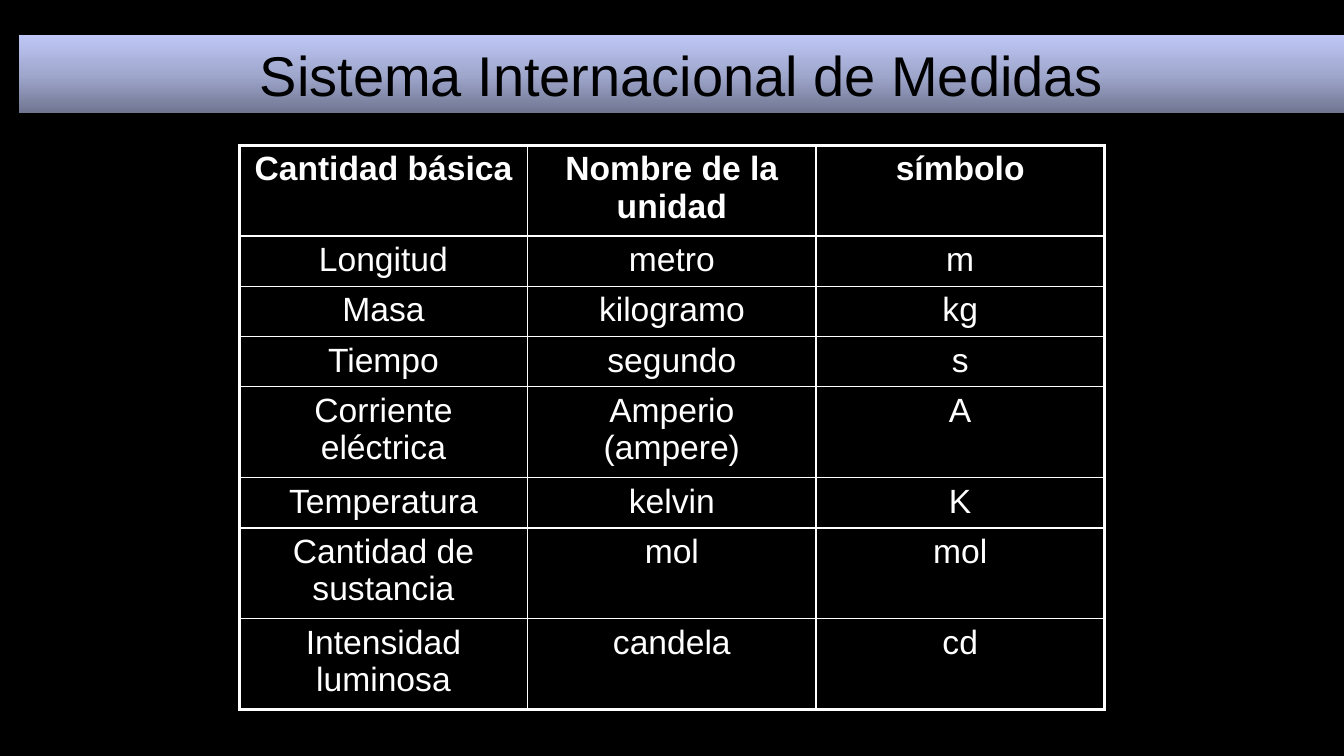
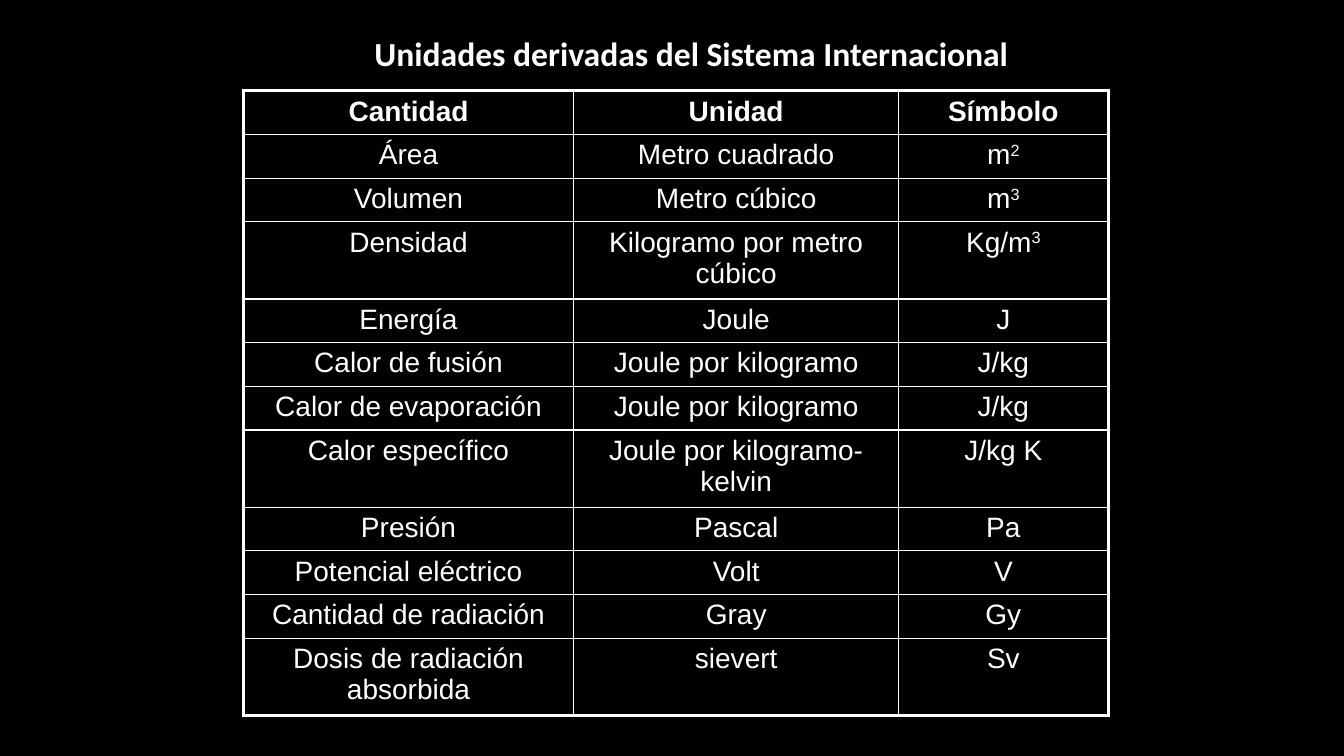
import copy

import lxml.etree
import pptx
import pptx.dml.color
import pptx.enum.shapes
import pptx.enum.text
import pptx.oxml.ns
import pptx.util

BLACK = pptx.dml.color.RGBColor(0x00, 0x00, 0x00)
WHITE = pptx.dml.color.RGBColor(0xFF, 0xFF, 0xFF)
BAND_DARK = pptx.dml.color.RGBColor(0x70, 0x76, 0x91)
BAND_MIDDLE = pptx.dml.color.RGBColor(0xA0, 0xA8, 0xCE)
BAND_LIGHT = pptx.dml.color.RGBColor(0xBE, 0xC7, 0xF5)

SLIDE_WIDTH = pptx.util.Inches(13.33)
SLIDE_HEIGHT = pptx.util.Inches(7.5)
GRID_COLUMNS = 100
GRID_ROWS = 100
BODY_FONT = "Arial"
CAPTION_FONT = "Calibri"
OUTER_LINE = pptx.util.Pt(2.25)
INNER_LINE = pptx.util.Pt(1)

BASE_UNITS = [
    ("Cantidad básica", "Nombre de la unidad", "símbolo"),
    ("Longitud", "metro", "m"),
    ("Masa", "kilogramo", "kg"),
    ("Tiempo", "segundo", "s"),
    ("Corriente eléctrica", "Amperio (ampere)", "A"),
    ("Temperatura", "kelvin", "K"),
    ("Cantidad de sustancia", "mol", "mol"),
    ("Intensidad luminosa", "candela", "cd"),
]

DERIVED_UNITS = [
    ("Cantidad", "Unidad", "Símbolo"),
    ("Área", "Metro cuadrado", "m^2"),
    ("Volumen", "Metro cúbico", "m^3"),
    ("Densidad", "Kilogramo por metro cúbico", "Kg/m^3"),
    ("Energía", "Joule", "J"),
    ("Calor de fusión", "Joule por kilogramo", "J/kg"),
    ("Calor de evaporación", "Joule por kilogramo", "J/kg"),
    ("Calor específico", "Joule por kilogramo-kelvin", "J/kg K"),
    ("Presión", "Pascal", "Pa"),
    ("Potencial eléctrico", "Volt", "V"),
    ("Cantidad de radiación", "Gray", "Gy"),
    ("Dosis de radiación absorbida", "sievert", "Sv"),
]


def across(columns):
    return int(SLIDE_WIDTH * columns / GRID_COLUMNS)


def down(rows):
    return int(SLIDE_HEIGHT * rows / GRID_ROWS)


def place(left, top, width, height):
    return across(left), down(top), across(width), down(height)


def add_element(parent, tag, **attributes):
    element = lxml.etree.SubElement(parent, pptx.oxml.ns.qn(tag))
    for name, value in attributes.items():
        element.set(name, str(value))
    return element


def add_black_slide(presentation):
    slide = presentation.slides.add_slide(presentation.slide_layouts[6])
    slide.background.fill.solid()
    slide.background.fill.fore_color.rgb = BLACK
    return slide


def write_centred(text_frame, text, font_name, size, color, bold=False, space_percent=0):
    paragraph = text_frame.paragraphs[0]
    base, _, exponent = text.partition("^")
    paragraph.text = base
    if exponent:
        run = paragraph.add_run()
        run.text = exponent
        run.font._element.set("baseline", "30000")
    paragraph.alignment = pptx.enum.text.PP_ALIGN.CENTER
    if space_percent:
        space_before = add_element(paragraph._p.get_or_add_pPr(), "a:spcBef")
        add_element(space_before, "a:spcPct", val=space_percent * 1000)
    for run in paragraph.runs:
        run.font.name = font_name
        run.font.size = pptx.util.Pt(size)
        run.font.bold = bold
        run.font.color.rgb = color


def fill_band(shape):
    shape.fill.gradient()
    shape.fill.gradient_angle = 90
    stop_list = shape._element.spPr.find(".//" + pptx.oxml.ns.qn("a:gsLst"))
    stop_list.insert(1, copy.deepcopy(stop_list[0]))
    colors = (BAND_DARK, BAND_MIDDLE, BAND_LIGHT)
    for index, (stop, color) in enumerate(zip(shape.fill.gradient_stops, colors)):
        stop.position = index / 2
        stop.color.rgb = color


def add_title_band(slide, text, box):
    band = slide.shapes.add_shape(pptx.enum.shapes.MSO_SHAPE.RECTANGLE, *place(*box))
    band.shadow.inherit = False
    band.line.fill.background()
    fill_band(band)
    band.text_frame.word_wrap = True
    band.text_frame.vertical_anchor = pptx.enum.text.MSO_ANCHOR.BOTTOM
    write_centred(band.text_frame, text, BODY_FONT, 40, BLACK)


def add_caption(slide, text, box):
    caption = slide.shapes.add_textbox(*place(*box))
    caption.text_frame.word_wrap = True
    caption.text_frame.auto_size = pptx.enum.text.MSO_AUTO_SIZE.SHAPE_TO_FIT_TEXT
    write_centred(caption.text_frame, text, CAPTION_FONT, 24, WHITE, True, 50)


def draw_borders(cell, outer_sides):
    properties = cell._tc.get_or_add_tcPr()
    for side, is_outer in outer_sides.items():
        width = OUTER_LINE if is_outer else INNER_LINE
        line = add_element(properties, "a:ln" + side, w=int(width))
        add_element(add_element(line, "a:solidFill"), "a:srgbClr", val=WHITE)


def add_unit_table(slide, units, left, top, widths, short_row, tall_row, tall_rows, size):
    heights = [tall_row if index in tall_rows else short_row for index in range(len(units))]
    box = place(left, top, sum(widths), sum(heights))
    table = slide.shapes.add_table(len(units), len(widths), *box).table
    table.first_row = False
    table.horz_banding = False
    for column, width in zip(table.columns, widths):
        column.width = across(width)
    for row, height in zip(table.rows, heights):
        row.height = down(height)
    for row_index, texts in enumerate(units):
        for column_index, text in enumerate(texts):
            cell = table.cell(row_index, column_index)
            write_centred(cell.text_frame, text, BODY_FONT, size, WHITE, row_index == 0, 20)
            draw_borders(cell, {
                "L": column_index == 0,
                "R": column_index == len(widths) - 1,
                "T": row_index == 0,
                "B": row_index == len(units) - 1,
            })
            cell.fill.background()


def main():
    presentation = pptx.Presentation()
    presentation.slide_width = SLIDE_WIDTH
    presentation.slide_height = SLIDE_HEIGHT

    base_slide = add_black_slide(presentation)
    add_title_band(base_slide, "Sistema Internacional de Medidas", (1.38, 4.65, 98.62, 10.3))
    add_unit_table(base_slide, BASE_UNITS, 17.8, 19.2, [21.46] * 3, 6.65, 12.03, {0, 4, 6, 7}, 24)

    derived_slide = add_black_slide(presentation)
    add_unit_table(derived_slide, DERIVED_UNITS, 18.1, 12, [24.6, 24.16, 15.6],
                   5.78, 10.2, {3, 7, 11}, 20)
    add_caption(derived_slide, "Unidades derivadas del Sistema Internacional",
                (23.4, 3.75, 56.1, 6.8))

    presentation.save("out.pptx")


main()
